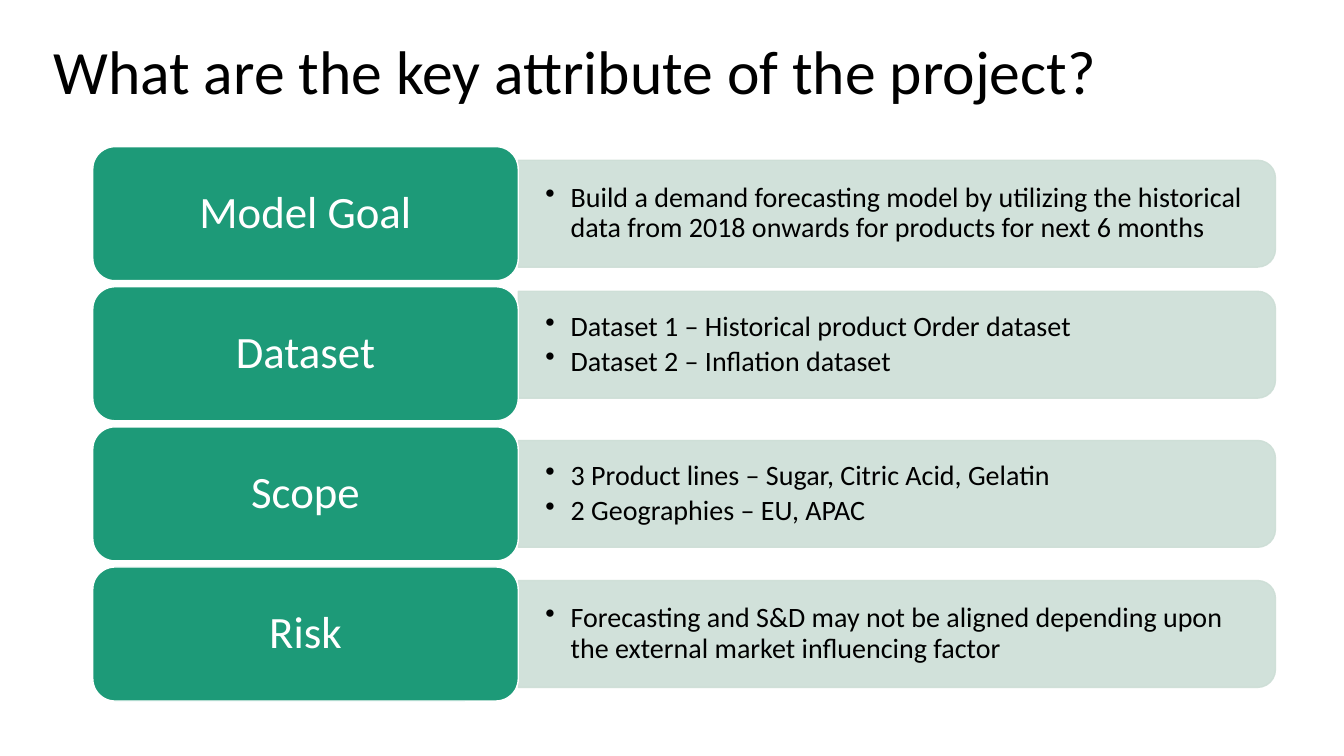
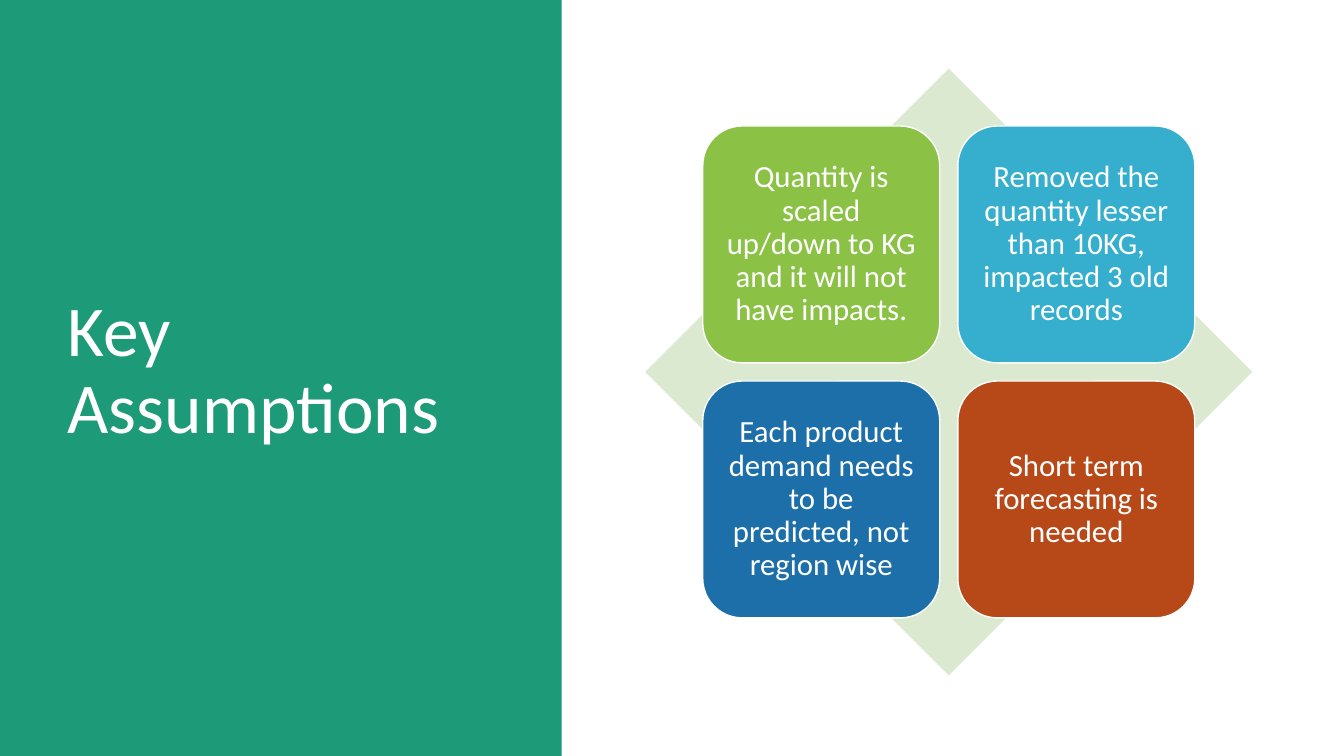
import pptx
import pptx.util
import pptx.dml.color
import pptx.enum.shapes
import pptx.enum.text
import pptx.oxml
import pptx.oxml.ns

Inches, Pt = pptx.util.Inches, pptx.util.Pt
SHAPE = pptx.enum.shapes.MSO_SHAPE
ALIGN = pptx.enum.text.PP_ALIGN
FONT = "Calibri"
COLORS = {
    "black": "000000", "white": "FFFFFF", "green": "1D9A78", "pale": "CDDED6",
    "mint": "DAE9CF", "lime": "8BC145", "sky": "36AFCE", "blue": "1D6FA9",
    "rust": "B74919",
}
RGB = {k: pptx.dml.color.RGBColor.from_string(v) for k, v in COLORS.items()}
BULLET = f'<a:buChar {pptx.oxml.ns.nsdecls("a")} char="•"/>'
ALPHA = f'<a:alpha {pptx.oxml.ns.nsdecls("a")} val="90000"/>'


def block(slide, kind, box, fill, line=None):
    """Add a flat preset shape; box is left, top, width, height in inches."""
    shape = slide.shapes.add_shape(kind, *map(Inches, box))
    shape.shadow.inherit = False
    shape.fill.solid()
    shape.fill.fore_color.rgb = RGB[fill]
    if line:
        shape.line.color.rgb = RGB[line]
        shape.line.width = Pt(1)
    else:
        shape.line.fill.background()
    return shape


def write(shape, lines, size, color, align, pad, bullets=False):
    """Fill a shape with paragraphs, centred in height; pad is side, top in inches."""
    frame = shape.text_frame
    frame.word_wrap = True
    frame.auto_size = pptx.enum.text.MSO_AUTO_SIZE.NONE
    frame.vertical_anchor = pptx.enum.text.MSO_ANCHOR.MIDDLE
    frame.margin_left = frame.margin_right = Inches(pad[0])
    frame.margin_top = frame.margin_bottom = Inches(pad[1])
    frame.text = "\n".join(lines)
    for para in frame.paragraphs:
        para.alignment = align
        para.line_spacing = 0.9
        if bullets:
            para.space_after = Pt(3)
            props = para._p.get_or_add_pPr()
            props.set("marL", str(Inches(0.25)))
            props.set("indent", str(Inches(-0.25)))
            props.append(pptx.oxml.parse_xml(BULLET))
        para.font.name = FONT
        para.font.size = Pt(size)
        para.font.color.rgb = RGB[color]


deck = pptx.Presentation()
deck.slide_width, deck.slide_height = Inches(13.33), Inches(7.5)

# Both slides: title placeholder, moved and styled
heads = [
    ("What are the key attribute of the project?", (0.43, 0.01, 11.5, 1.45), 44, "black"),
    ("Key Assumptions", (0.57, 0.68, 4.16, 6.02), 51, "white"),
]
slides = []
for text, box, size, color in heads:
    slide = deck.slides.add_slide(deck.slide_layouts[5])
    title = slide.shapes.title
    title.left, title.top, title.width, title.height = map(Inches, box)
    write(title, [text], size, color, ALIGN.LEFT, (0.1, 0.05))
    slides.append(slide)
traits, premises = slides

# Slide 1: a label card and a detail bar in each row
rows = [
    ("Model Goal", 0, ["Build a demand forecasting model by utilizing the historical "
                       "data from 2018 onwards for products for next 6 months"]),
    ("Dataset", -0.09, ["Dataset 1 – Historical product Order dataset",
                        "Dataset 2 – Inflation dataset"]),
    ("Scope", 0, ["3 Product lines – Sugar, Citric Acid, Gelatin",
                  "2 Geographies – EU, APAC"]),
    ("Risk", 0, ["Forecasting and S&D may not be aligned depending upon "
                 "the external market influencing factor"]),
]
card_x, card_w, card_h = 0.92, 4.22, 1.33
bar_x, bar_w, bar_h = card_x + card_w, 7.51, 1.06
text_w, text_h = 7.45, 0.96
for i, (label, shift, lines) in enumerate(rows):
    mid = 2.12 + 1.39 * i
    bar_mid = mid + shift
    # The bar is drawn upright, then turned about its centre
    bar = block(traits, SHAPE.ROUND_2_SAME_RECTANGLE,
                (bar_x + (bar_w - bar_h) / 2, bar_mid - bar_w / 2, bar_h, bar_w),
                "pale", "pale")
    bar.rotation = 90
    for tint in bar.element.spPr.iter(pptx.oxml.ns.qn("a:srgbClr")):
        tint.append(pptx.oxml.parse_xml(ALPHA))
    detail = traits.shapes.add_textbox(
        *map(Inches, (bar_x, bar_mid - text_h / 2, text_w, text_h)))
    write(detail, lines, 20, "black", ALIGN.LEFT, (0.27, 0.14), bullets=True)
    card = block(traits, SHAPE.ROUNDED_RECTANGLE,
                 (card_x, mid - card_h / 2, card_w, card_h), "green", "white")
    write(card, [label], 32, "white", ALIGN.CENTER, (0.13, 0.07))

# Slide 2: green panel behind the title, four tiles on a diamond
panel = block(premises, SHAPE.RECTANGLE, (0, 0, 5.57, 7.5), "green")
premises.shapes.title.element.addprevious(panel.element)
block(premises, SHAPE.DIAMOND, (6.4, 0.68, 6.02, 6.02), "mint")
tiles = [
    ("lime", "Quantity is scaled up/down to KG and it will not have impacts."),
    ("sky", "Removed the quantity lesser than 10KG, impacted 3 old records"),
    ("blue", "Each product demand needs to be predicted, not region wise"),
    ("rust", "Short term forecasting is needed"),
]
side, step = 2.35, 2.53
for i, (fill, text) in enumerate(tiles):
    row, col = divmod(i, 2)
    tile = block(premises, SHAPE.ROUNDED_RECTANGLE,
                 (6.97 + col * step, 1.25 + row * step, side, side), fill, "white")
    write(tile, [text], 22, "white", ALIGN.CENTER, (0.09, 0.09))

deck.save("out.pptx")
